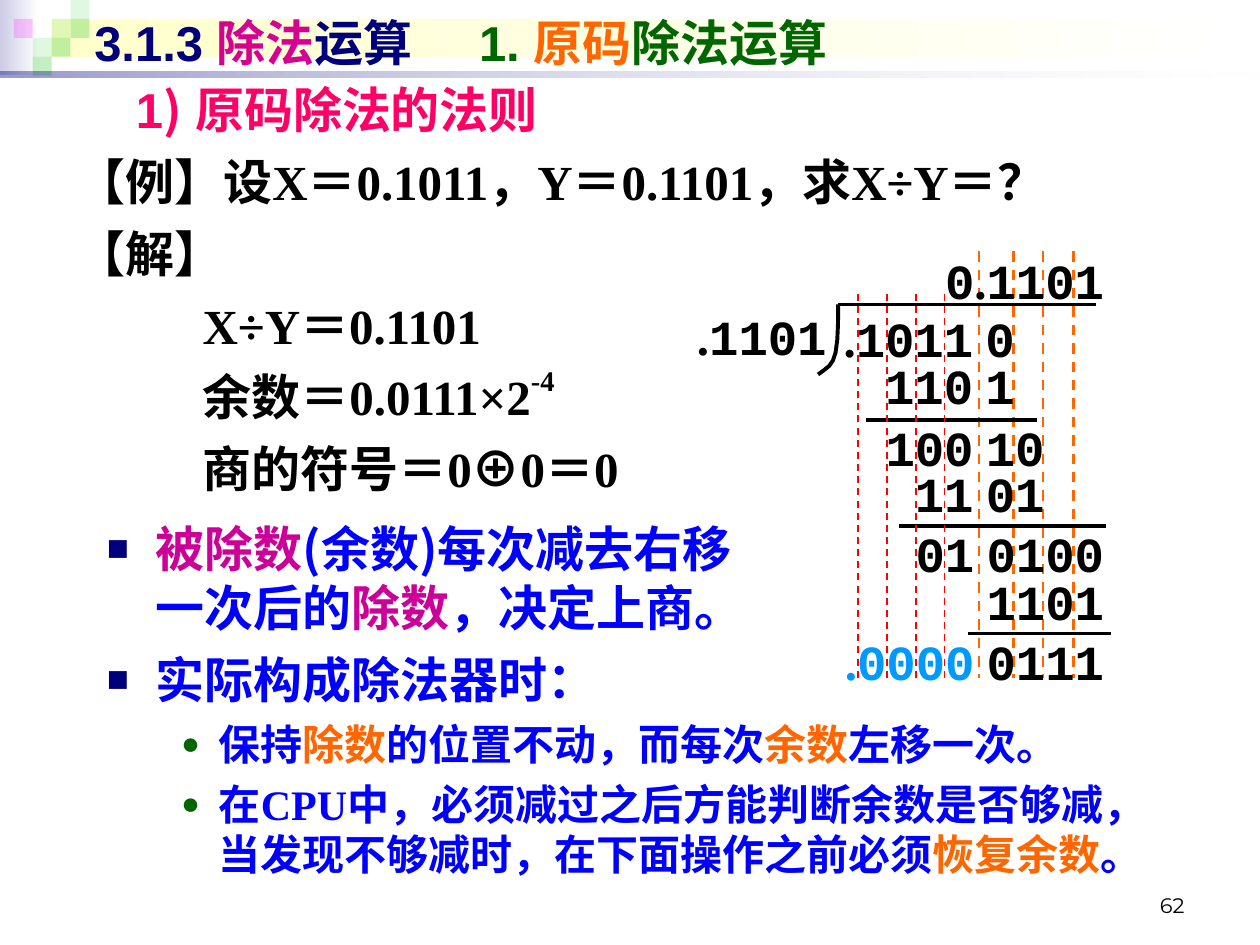
from itertools import groupby

from lxml.etree import SubElement
from pptx import Presentation
from pptx.dml.color import RGBColor
from pptx.enum.dml import MSO_LINE
from pptx.enum.shapes import MSO_CONNECTOR, MSO_SHAPE
from pptx.enum.text import MSO_ANCHOR, PP_ALIGN
from pptx.oxml.ns import qn
from pptx.util import Pt

BLACK = RGBColor(0x00, 0x00, 0x00)
WHITE = RGBColor(0xFF, 0xFF, 0xFF)
NAVY = RGBColor(0x00, 0x00, 0x7D)
LAVENDER = RGBColor(0xCC, 0xCC, 0xE6)
CREAM = RGBColor(0xFF, 0xFF, 0xCC)
LIME = RGBColor(0x33, 0xCC, 0x33)
FUCHSIA = RGBColor(0xFF, 0x00, 0xFF)
MAGENTA = RGBColor(0xD6, 0x00, 0x93)
PLUM = RGBColor(0xCC, 0x00, 0x99)
ROSE = RGBColor(0xFF, 0x00, 0x66)
GREEN = RGBColor(0x00, 0x66, 0x00)
ORANGE = RGBColor(0xFF, 0x66, 0x00)
BLUE = RGBColor(0x00, 0x00, 0xFF)
SKY = RGBColor(0x00, 0x99, 0xFF)
RED = RGBColor(0xFF, 0x00, 0x00)

SANS, SERIF, MONO = "Arial", "Times New Roman", "Courier New"
CJK, NUMBER = "Noto Sans CJK SC", "Montserrat"


def add_run(paragraph, text, font, size, color, bold, superscript=False):
    for index, line in enumerate(text.split("\n")):
        if index:
            paragraph.add_line_break()
        run = paragraph.add_run()
        run.text = line
        run.font.name, run.font.size, run.font.bold = font, Pt(size), bold
        run.font.color.rgb = color
        properties = run.font._element
        SubElement(properties, qn("a:ea")).set("typeface", CJK)
        if superscript:
            properties.set("baseline", "50000")


def add_bullet(paragraph, char, color, left, hanging):
    properties = paragraph._p.get_or_add_pPr()
    properties.set("marL", str(Pt(left)))
    properties.set("indent", str(-Pt(hanging)))
    bullet_color = SubElement(properties, qn("a:buClr"))
    SubElement(bullet_color, qn("a:srgbClr")).set("val", str(color))
    SubElement(properties, qn("a:buSzPct")).set("val", "75000")
    SubElement(properties, qn("a:buFont")).set("typeface", SANS)
    SubElement(properties, qn("a:buChar")).set("char", char)


def add_tab(paragraph, position):
    tabs = SubElement(paragraph._p.get_or_add_pPr(), qn("a:tabLst"))
    SubElement(tabs, qn("a:tab"), pos=str(Pt(position)), algn="l")


def add_text(slide, box, paragraphs, font=SERIF, size=28, color=BLACK, bold=True,
             align=PP_ALIGN.LEFT, anchor=MSO_ANCHOR.TOP, line_height=None,
             space_before=0, tab=None):
    """Each paragraph is a list of runs (text, overrides), or a dict with
    "runs" and its own "bullet", "size", "line_height" or "space_before"."""
    frame = slide.shapes.add_textbox(*map(Pt, box)).text_frame
    frame.word_wrap = True
    frame.vertical_anchor = anchor
    for index, entry in enumerate(paragraphs):
        entry = entry if isinstance(entry, dict) else {"runs": entry}
        paragraph = frame.add_paragraph() if index else frame.paragraphs[0]
        paragraph.alignment = align
        if "bullet" in entry:
            add_bullet(paragraph, *entry["bullet"])
        if tab:
            add_tab(paragraph, tab)
        height = entry.get("line_height", line_height)
        if height:
            paragraph.line_spacing = Pt(height)
        if index:
            paragraph.space_before = Pt(entry.get("space_before", space_before))
        base = dict(font=font, size=entry.get("size", size), color=color, bold=bold)
        for text, overrides in entry["runs"]:
            add_run(paragraph, text, **{**base, **overrides})


def add_block(slide, box, *stops):
    """Rectangle with one (color, opacity) fill, or a right-to-left gradient of two."""
    block = slide.shapes.add_shape(MSO_SHAPE.RECTANGLE, *map(Pt, box))
    block.shadow.inherit = False
    block.line.fill.background()
    if len(stops) == 1:
        block.fill.solid()
        targets = [block.fill.fore_color]
    else:
        block.fill.gradient()
        block.fill.gradient_angle = 180
        targets = [stop.color for stop in block.fill.gradient_stops]
    for target, (color, _) in zip(targets, stops):
        target.rgb = color
    fills = block.element.spPr.iter(qn("a:srgbClr"))
    for fill, (_, opacity) in zip(fills, stops):
        if opacity < 100:
            SubElement(fill, qn("a:alpha")).set("val", str(opacity * 1000))


def add_line(slide, start, end, color=BLACK, width=2.25, dash=None):
    line = slide.shapes.add_connector(MSO_CONNECTOR.STRAIGHT, *map(Pt, (*start, *end)))
    line.line.color.rgb = color
    line.line.width = Pt(width)
    if dash:
        line.line.dash_style = dash
    SubElement(line.element.spPr, qn("a:effectLst"))


def header_band(slide, left, top, width):
    add_block(slide, (left, top, 22, 43), (WHITE, 100), (LAVENDER, 100))
    add_block(slide, (left + 29.5, top + 10.8, width - 32.5, 21.6), (WHITE, 100), (CREAM, 100))
    cell = 10.8
    for column, row, color, opacity in [
            (2, 1, LIME, 15), (3, 0, LIME, 15), (3, 1, LIME, 30), (1, 2, LIME, 15),
            (0, 1, FUCHSIA, 20), (2, 2, LIME, 30), (1, 3, LIME, 30)]:
        add_block(slide, (left + 7.9 + column * cell, top + row * cell, cell, cell),
                  (color, opacity))
    add_block(slide, (left, top + 41, width, 3.6), (WHITE, 10), (NAVY, 40))


def headings(slide, left, top):
    add_text(slide, (left, top, 648, 41), [[
        ("3.1.3 ", {}), ("除法", {"color": MAGENTA}), ("运算      ", {}),
        ("1. ", {"color": GREEN}), ("原码", {"color": ORANGE}),
        ("除法运算", {"color": GREEN})]],
        font=SANS, color=NAVY, anchor=MSO_ANCHOR.MIDDLE)
    add_text(slide, (left + 23.8, top + 38.2, 625, 41),
             [[("1", {}), (")", {"font": CJK}), (" 原码除法的法则", {})]],
             font=SANS, color=ROSE, anchor=MSO_ANCHOR.MIDDLE)


def worked_example(slide, box):
    add_text(slide, box, [
        [("【例】设X＝0.1011，Y＝0.1101，求X÷Y＝？", {})],
        [("【解】", {})],
        [("\tX÷Y＝0.1101", {})],
        [("\t余数＝0.0111×2", {}), ("-4", {"superscript": True})],
        [("\t商的符号＝0", {}), ("⊕", {"font": CJK}), ("0＝0", {})],
    ], line_height=34, space_before=7, tab=72)


def long_division(slide, left, top):
    def at(x, y):
        return left + x, top + y

    def digits(right, y, width, text, color=BLACK):
        """Digits keep a fixed pitch; points and gaps take the narrower serif."""
        runs = [("".join(chars), {"font": MONO if is_digit else SERIF})
                for is_digit, chars in groupby(text, str.isdigit)]
        add_text(slide, (*at(right - width, y), width, 41), [runs],
                 color=color, align=PP_ALIGN.RIGHT, line_height=33)

    for x in (182.5, 202, 219, 236.5):
        add_line(slide, at(x, 3.5), at(x, 247.5), ORANGE, 1.5, MSO_LINE.DASH)

    for right, y, width, text in [
            (261, 0, 125, "0.1101"), (102.5, 32, 102, ".1101"),
            (210, 33.5, 136, ".1011 0"), (210, 60, 108, "110 1"),
            (227, 95.5, 136, "100 10"), (227, 122, 119, "11 01"),
            (261, 156.5, 142, "01 0100"), (261, 183.5, 96.5, "1101"),
            (261, 218, 96.5, "0111")]:
        digits(right, y, width, text)

    for x1, x2, y in [(102, 249.5, 34), (118, 215.5, 100),
                      (136.5, 255, 160.5), (176, 258, 222)]:
        add_line(slide, at(x1, y), at(x2, y))

    bracket = [(102, 34), (101.9, 45), (101.5, 54), (100.5, 61.5), (99, 66),
               (97, 69), (94, 71.5), (90.5, 74)]
    points = [tuple(map(Pt, at(*point))) for point in bracket]
    builder = slide.shapes.build_freeform(*points[0])
    builder.add_line_segments(points[1:], close=False)
    curve = builder.convert_to_shape()
    curve.shadow.inherit = False
    curve.fill.background()
    curve.line.color.rgb = BLACK
    curve.line.width = Pt(2.25)

    for column in range(4):
        x = 113.3 + column * 16.5
        add_line(slide, at(x, 28), at(x, 247.5), RED, 1, MSO_LINE.DASH)
    digits(187, 218, 96.5, ".0000", SKY)


def conclusions(slide, box):
    square = ("■", NAVY, 28, 28)
    dot = {"bullet": ("●", GREEN, 64, 21.6), "size": 24,
           "line_height": 28.5, "space_before": 6}
    plum, orange, cjk = {"color": PLUM}, {"color": ORANGE}, {"font": CJK}
    add_text(slide, box, [
        {"bullet": square, "runs": [
            ("被除数", plum), ("(", cjk), ("余数", {}), (")", cjk),
            ("每次减去右移\n一次后的", {}), ("除数", plum), ("，决定上商。", {})]},
        {"bullet": square, "runs": [("实际构成除法器时：", {})]},
        {**dot, "runs": [
            ("保持", {}), ("除数", orange), ("的位置不动，而每次", {}),
            ("余数", orange), ("左移一次。", {})]},
        {**dot, "runs": [
            ("在CPU中，必须减过之后方能判断余数是否够减，"
             "当发现不够减时，在下面操作之前必须", {}),
            ("恢复余数", orange), ("。", {})]},
    ], color=BLUE, line_height=34, space_before=7)


def page_number(slide, box):
    add_text(slide, box, [[("62", {})]], font=NUMBER, size=12, bold=False,
             align=PP_ALIGN.RIGHT, anchor=MSO_ANCHOR.BOTTOM)


def main():
    deck = Presentation()
    deck.slide_width, deck.slide_height = Pt(720), Pt(540)
    slide = deck.slides.add_slide(deck.slide_layouts[6])
    header_band(slide, 0, 0, 720)
    page_number(slide, (516, 492, 168, 36))
    headings(slide, 46.8, 3.6)
    worked_example(slide, (36.7, 82.8, 652, 204.5))
    long_division(slide, 377, 140)
    conclusions(slide, (54, 292.3, 629, 232.5))
    deck.save("out.pptx")


if __name__ == "__main__":
    main()
